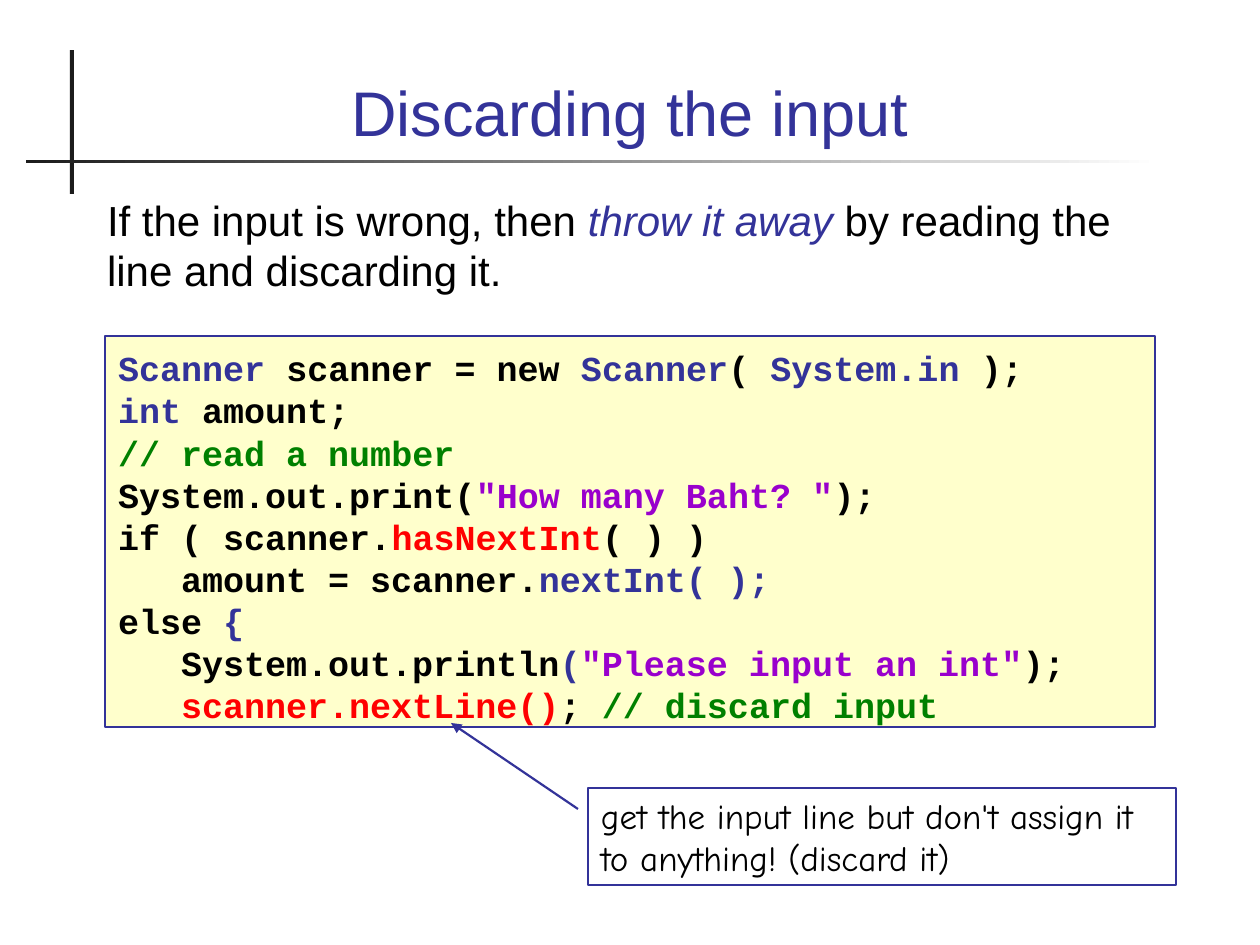
"""Build the slide on discarding wrong scanner input."""
from lxml import etree
from pptx import Presentation
from pptx import util as u
from pptx.dml.color import RGBColor
from pptx.enum import shapes, text
from pptx.oxml import ns

PX_PER_INCH = 126
MARGIN_X, MARGIN_Y = 13, 6
TAB_STOP = 62

BLACK = RGBColor(0x00, 0x00, 0x00)
WHITE = RGBColor(0xFF, 0xFF, 0xFF)
INK = RGBColor(0x1C, 0x1C, 0x1C)
BLUE = RGBColor(0x33, 0x33, 0x99)
GREEN = RGBColor(0x00, 0x80, 0x00)
PURPLE = RGBColor(0x99, 0x00, 0xCC)
RED = RGBColor(0xFF, 0x00, 0x00)
CREAM = RGBColor(0xFF, 0xFF, 0xCC)

CODE = [
    [("Scanner ", BLUE), ("scanner = new ", BLACK), ("Scanner", BLUE),
     ("(", BLACK), (" System.in ", BLUE), (");", BLACK)],
    [("int ", BLUE), ("amount;", BLACK)],
    [("// read a number", GREEN)],
    [("System.out.print(", BLACK), ('"How many Baht? "', PURPLE), (");", BLACK)],
    [("if ( scanner.", BLACK), ("hasNextInt", RED), ("( ) )", BLACK)],
    [("\tamount = scanner.", BLACK), ("nextInt( );", BLUE)],
    [("else", BLACK), (" {", BLUE)],
    [("\tSystem.out.println", BLACK), ("(", BLUE),
     ('"Please input an int"', PURPLE), (");", BLACK)],
    [("\tscanner.nextLine()", RED), ("; ", BLACK), ("// discard input", GREEN)],
]


def px(length):
    """Turn pixels into EMU."""
    return u.Emu(round(length * 914400 / PX_PER_INCH))


def place(shape, left, top, width, height):
    """Move and size a shape."""
    shape.left, shape.top = px(left), px(top)
    shape.width, shape.height = px(width), px(height)


def set_frame(frame, anchor, top_margin=MARGIN_Y):
    """Set wrapping, anchor and margins of a text frame."""
    frame.word_wrap = True
    frame.auto_size = text.MSO_AUTO_SIZE.NONE
    frame.vertical_anchor = anchor
    frame.margin_left = frame.margin_right = px(MARGIN_X)
    frame.margin_top, frame.margin_bottom = px(top_margin), px(MARGIN_Y)


def write(frame, lines, font, size, pitch=None, bold=False,
          align=text.PP_ALIGN.LEFT):
    """Fill a frame with lines of coloured spans."""
    for index, line in enumerate(lines):
        para = frame.add_paragraph() if index else frame.paragraphs[0]
        props = para._p.get_or_add_pPr()
        props.set("marL", "0")
        props.set("indent", "0")
        etree.SubElement(props, ns.qn("a:buNone"))
        tabs = etree.SubElement(props, ns.qn("a:tabLst"))
        etree.SubElement(tabs, ns.qn("a:tab"), pos=str(px(TAB_STOP)), algn="l")
        para.alignment = align
        para.space_before = u.Pt(0)
        if pitch:
            para.line_spacing = u.Pt(pitch)
        para.font.name, para.font.size, para.font.bold = font, u.Pt(size), bold
        for words, colour, *style in line:
            span = para.add_run()
            span.text = words
            span.font.color.rgb = colour
            if "italic" in style:
                span.font.italic = True


def add_box(page, left, top, width, height, fill, line=None):
    """Add a plain rectangle."""
    box = page.shapes.add_shape(shapes.MSO_SHAPE.RECTANGLE, px(left), px(top),
                                px(width), px(height))
    box.shadow.inherit = False
    box.fill.solid()
    box.fill.fore_color.rgb = fill
    if line is None:
        box.line.fill.background()
    else:
        box.line.color.rgb = line
        box.line.width = u.Pt(0.75)
    return box


def add_title_rules(page):
    """Add the vertical rule and the fading horizontal rule."""
    add_box(page, 70, 50, 4, 144, INK)
    rule = add_box(page, 26, 160, 1133, 3, INK)
    rule.fill.gradient()
    rule.fill.gradient_angle = 0
    for stop, colour in zip(rule.fill.gradient_stops, (INK, WHITE)):
        stop.color.rgb = colour
    for stop, position in zip(rule.fill.gradient_stops, (0, 1)):
        stop.position = position


def add_arrow(page, start, end):
    """Add a line with an arrowhead at its end."""
    arrow = page.shapes.add_connector(shapes.MSO_CONNECTOR.STRAIGHT,
                                      *map(px, start + end))
    arrow.line.color.rgb = BLUE
    arrow.line.width = u.Pt(1.25)
    etree.SubElement(arrow.line._get_or_add_ln(), ns.qn("a:tailEnd"),
                     type="triangle")
    etree.SubElement(arrow._element.spPr, ns.qn("a:effectLst"))


def main():
    """Build and save the deck."""
    deck = Presentation()
    deck.slide_width, deck.slide_height = px(1260), px(945)
    page = deck.slides.add_slide(deck.slide_layouts[1])
    title, body = page.placeholders
    add_title_rules(page)

    place(title, 84, 35, 1091, 120)
    set_frame(title.text_frame, text.MSO_ANCHOR.BOTTOM)
    write(title.text_frame, [[("Discarding the input", BLUE)]], "Arial", 36,
          align=text.PP_ALIGN.CENTER)

    place(body, 94, 189, 1071, 116)
    set_frame(body.text_frame, text.MSO_ANCHOR.TOP)
    write(body.text_frame, [[("If the input is wrong, then ", BLACK),
                             ("throw it away", BLUE, "italic"),
                             (" by reading the line and discarding it.", BLACK)]],
          "Arial", 24, pitch=28.5)

    note = add_box(page, 588, 788, 588, 97, WHITE, BLUE)
    set_frame(note.text_frame, text.MSO_ANCHOR.TOP)
    write(note.text_frame, [[("get the input line but don't assign it to anything! "
                              "(discard it)", BLACK)]],
          "Comic Neue", 20, pitch=24)

    code = add_box(page, 105, 336, 1050, 391, CREAM, BLUE)
    set_frame(code.text_frame, text.MSO_ANCHOR.TOP, top_margin=11)
    write(code.text_frame, CODE, "Courier New", 20, pitch=24, bold=True)

    add_arrow(page, (578, 809), (451, 723))
    deck.save("out.pptx")


if __name__ == "__main__":
    main()
